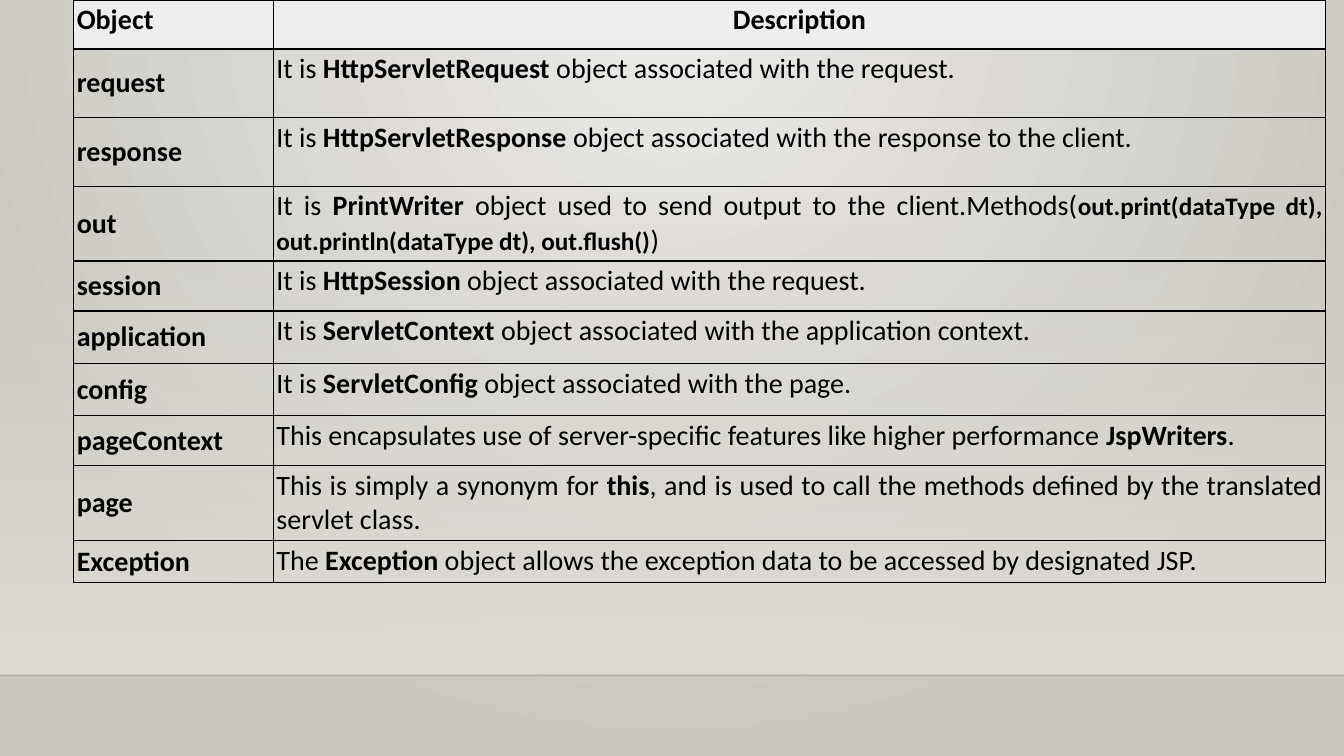
from dataclasses import dataclass

from lxml import etree
from pptx import Presentation
from pptx.dml.color import RGBColor
from pptx.enum import shapes, text
from pptx.oxml import ns
from pptx.util import Pt


@dataclass(frozen=True)
class Theme:
    font: str = "Calibri"
    body: float = 20
    methods: float = 18
    ink: str = "000000"
    header: str = "EEEEEE"
    glow: str = "ECEAE7"
    edge: str = "CAC7C1"
    floor: str = "DFDBD5"


THEME = Theme()
WIDTH, HEIGHT = 960, 540
FLOOR_TOP, HORIZON = 159, 482.4
TABLE_LEFT = 52.6
COLUMNS = (142.6, 751.7)
MARGIN = 2.25
HEADER_HEIGHT = 35

# Name, row height, description: every second part of a description is bold.
OBJECTS = (
    ("request", 49, ("It is ", "HttpServletRequest", " object associated with the request.")),
    ("response", 49, ("It is ", "HttpServletResponse",
                      " object associated with the response to the client.")),
    ("out", 53.5, ("It is ", "PrintWriter", " object used to send output to the client.Methods(",
                   "out.print(dataType dt), out.println(dataType dt), out.flush()", ")")),
    ("session", 35.7, ("It is ", "HttpSession", " object associated with the request.")),
    ("application", 37.4, ("It is ", "ServletContext",
                           " object associated with the application context.")),
    ("config", 37.4, ("It is ", "ServletConfig", " object associated with the page.")),
    ("pageContext", 35.7, (
        "This encapsulates use of server-specific features like higher performance ",
        "JspWriters", ".")),
    ("page", 53.5, ("This is simply a synonym for ", "this",
                    ", and is used to call the methods defined by the translated servlet class.")),
    ("Exception", 30, ("The ", "Exception",
                       " object allows the exception data to be accessed by designated JSP.")),
)


def add_node(parent, tag, **attributes):
    node = etree.SubElement(parent, ns.qn(tag))
    for name, value in attributes.items():
        node.set(name, str(value))
    return node


def paint_gradient(fill, owner, stops):
    """Fill with (position, colour, opacity) stops, and return the node for its direction."""
    fill.gradient()
    gradient = next(owner.iter(ns.qn("a:gradFill")))
    for child in list(gradient):
        gradient.remove(child)
    stop_list = add_node(gradient, "a:gsLst")
    for position, colour, opacity in stops:
        stop = add_node(stop_list, "a:gs", pos=position * 1000)
        tint = add_node(stop, "a:srgbClr", val=colour)
        if opacity < 100:
            add_node(tint, "a:alpha", val=opacity * 1000)
    return gradient


def add_backdrop(slide):
    glow = paint_gradient(slide.background.fill, slide.element,
                          ((0, THEME.glow, 100), (100, THEME.edge, 100)))
    circle = add_node(glow, "a:path", path="circle")
    add_node(circle, "a:fillToRect", l=43000, t=0, r=43000, b=100000)

    floor = slide.shapes.add_shape(shapes.MSO_SHAPE.RECTANGLE, 0, Pt(FLOOR_TOP),
                                   Pt(WIDTH), Pt(HORIZON - FLOOR_TOP))
    floor.shadow.inherit = False
    floor.line.fill.background()
    fade = paint_gradient(floor.fill, floor.element,
                          ((0, THEME.floor, 0), (100, THEME.floor, 100)))
    add_node(fade, "a:lin", ang=5400000, scaled=0)


def add_horizon(slide):
    horizon = slide.shapes.add_connector(shapes.MSO_CONNECTOR.STRAIGHT,
                                         0, Pt(HORIZON), Pt(WIDTH), Pt(HORIZON))
    horizon.line.width = Pt(1)
    horizon.line.color.rgb = RGBColor.from_string(THEME.ink)
    tint = next(horizon.element.iter(ns.qn("a:srgbClr")))
    add_node(tint, "a:alpha", val=20000)
    add_node(horizon.element.spPr, "a:effectLst")


def add_borders(cell):
    properties = cell._tc.get_or_add_tcPr()
    for side in "LRTB":
        border = add_node(properties, f"a:ln{side}", w=Pt(1))
        add_node(add_node(border, "a:solidFill"), "a:srgbClr", val=THEME.ink)


def style_cell(cell, fill=None, anchor=text.MSO_ANCHOR.TOP):
    add_borders(cell)
    cell.margin_left = cell.margin_right = Pt(MARGIN)
    cell.margin_top = cell.margin_bottom = Pt(MARGIN)
    cell.vertical_anchor = anchor
    if fill:
        cell.fill.solid()
        cell.fill.fore_color.rgb = RGBColor.from_string(fill)
    else:
        cell.fill.background()


def write(cell, parts, align):
    """Write parts that alternate plain and bold; a second bold part lists methods."""
    paragraph = cell.text_frame.paragraphs[0]
    paragraph.alignment = align
    for index, part in enumerate(parts):
        if not part:
            continue
        run = paragraph.add_run()
        run.text = part
        run.font.name = THEME.font
        run.font.size = Pt(THEME.methods if index == 3 else THEME.body)
        run.font.bold = index % 2 == 1
        run.font.color.rgb = RGBColor.from_string(THEME.ink)


def add_object_table(slide):
    heights = [HEADER_HEIGHT] + [height for _, height, _ in OBJECTS]
    frame = slide.shapes.add_table(len(heights), len(COLUMNS), Pt(TABLE_LEFT), 0,
                                   Pt(sum(COLUMNS)), Pt(sum(heights)))
    table = frame.table
    table.first_row = table.horz_banding = False
    for column, width in zip(table.columns, COLUMNS):
        column.width = Pt(width)
    for row, height in zip(table.rows, heights):
        row.height = Pt(height)

    headings = (("Object", text.PP_ALIGN.LEFT), ("Description", text.PP_ALIGN.CENTER))
    for column, (heading, align) in enumerate(headings):
        cell = table.cell(0, column)
        style_cell(cell, fill=THEME.header)
        write(cell, ("", heading), align)

    for row, (name, _, description) in enumerate(OBJECTS, start=1):
        name_cell, description_cell = table.cell(row, 0), table.cell(row, 1)
        style_cell(name_cell, anchor=text.MSO_ANCHOR.MIDDLE)
        write(name_cell, ("", name), text.PP_ALIGN.JUSTIFY)
        style_cell(description_cell)
        write(description_cell, description, text.PP_ALIGN.JUSTIFY)


def main():
    deck = Presentation()
    deck.slide_width, deck.slide_height = Pt(WIDTH), Pt(HEIGHT)
    blank = deck.slide_layouts.get_by_name("Blank")
    slide = deck.slides.add_slide(blank)
    add_backdrop(slide)
    add_horizon(slide)
    add_object_table(slide)
    deck.save("out.pptx")


if __name__ == "__main__":
    main()
